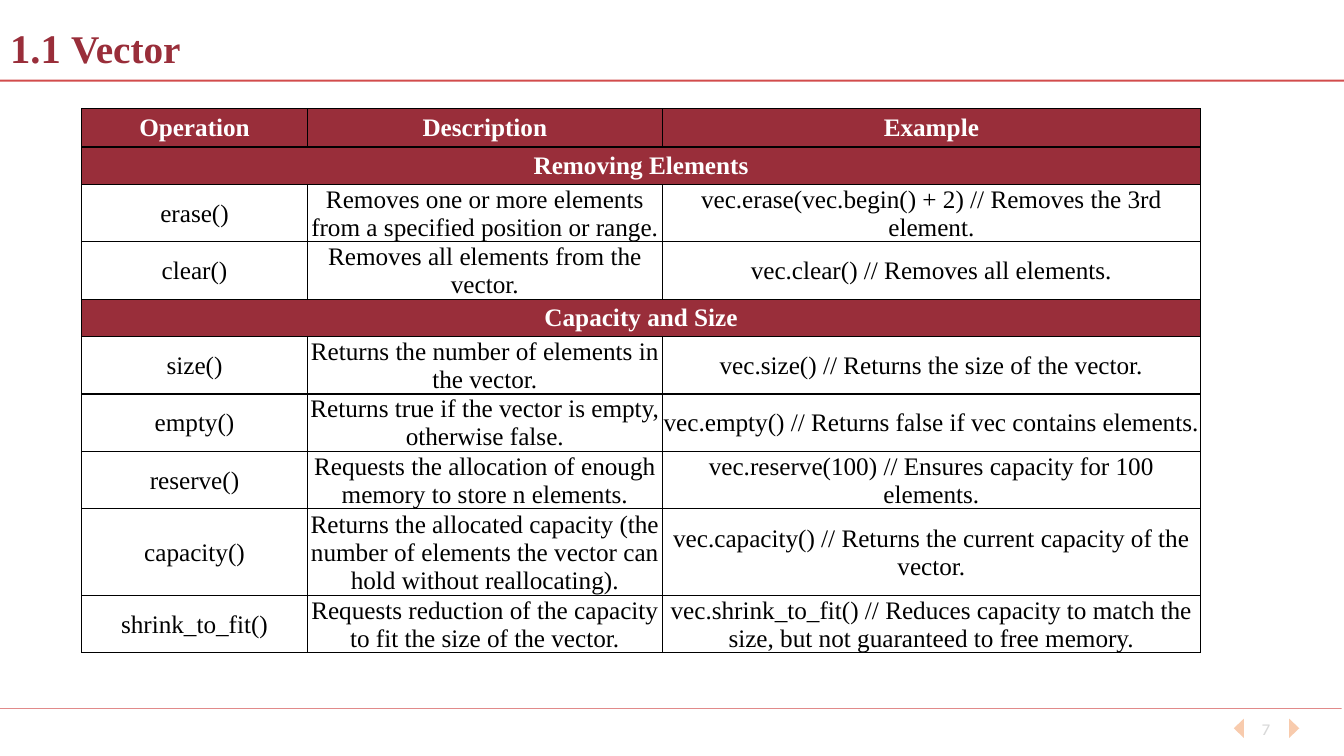
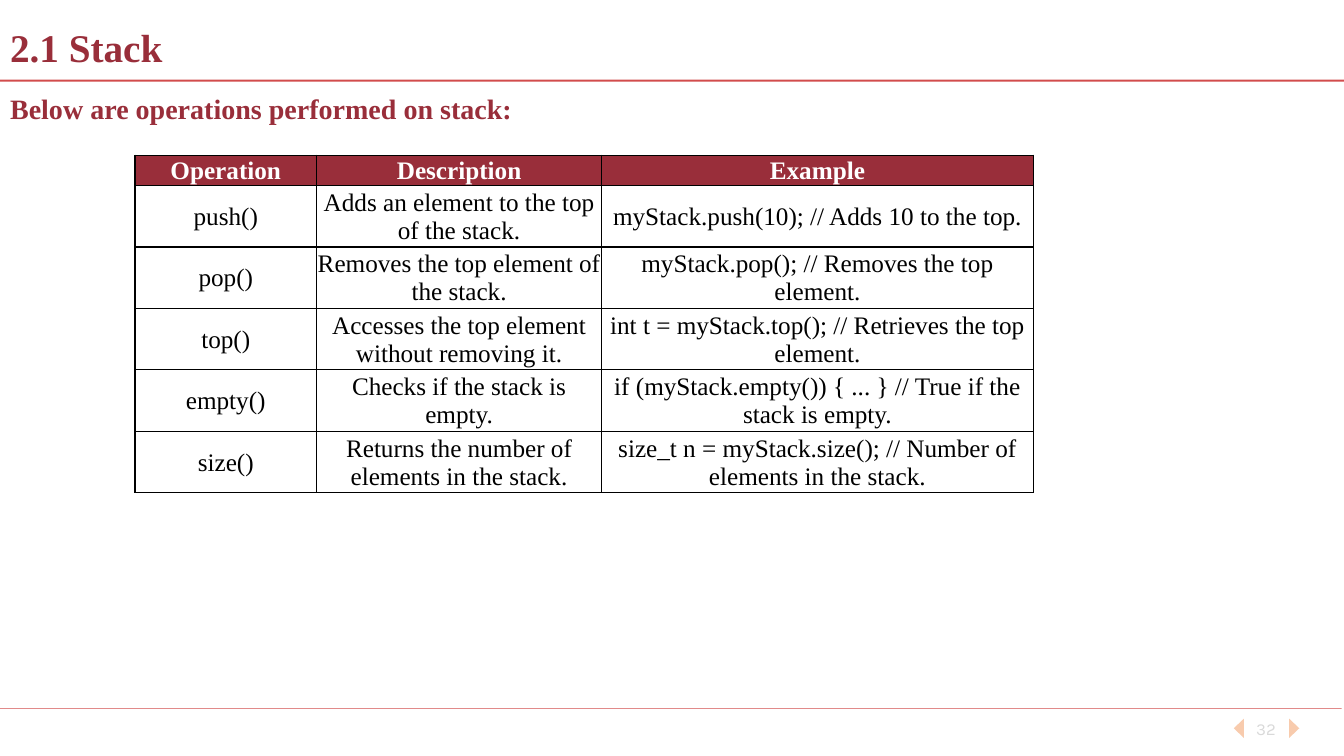
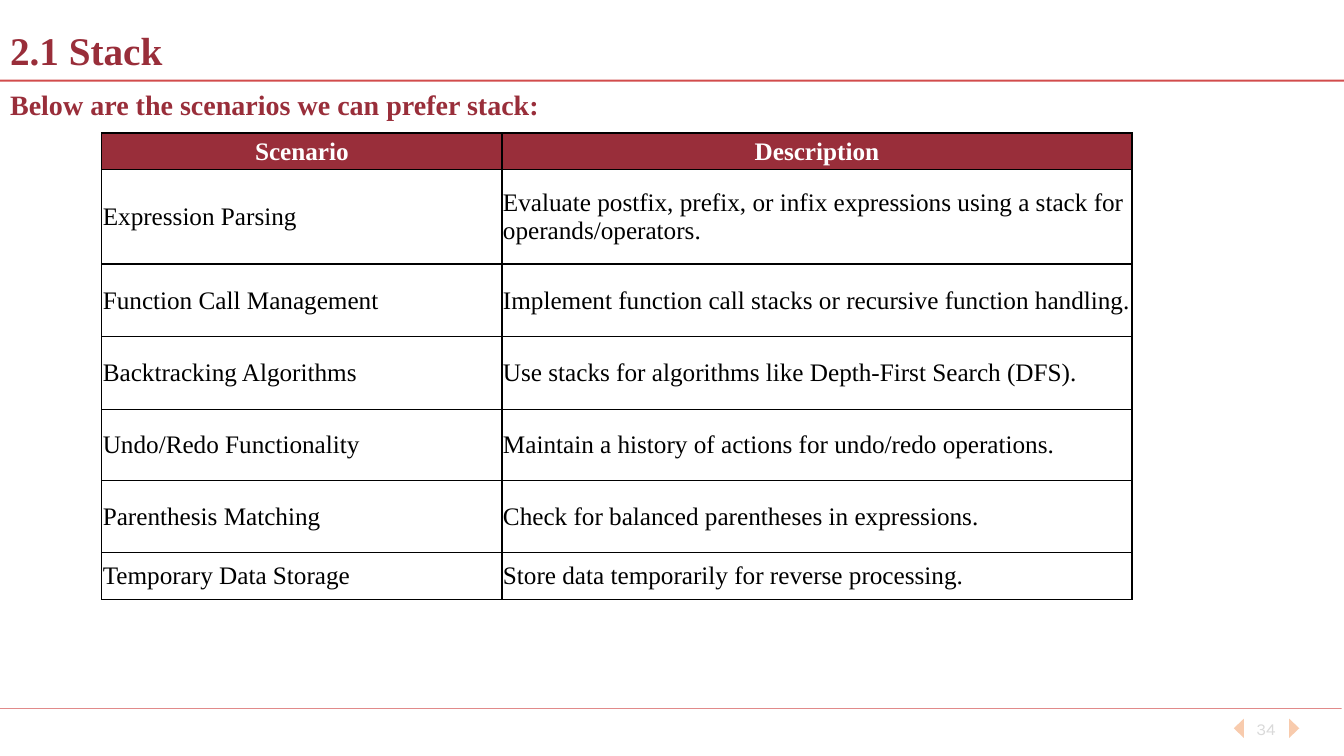
from dataclasses import dataclass

from lxml import etree
from pptx import Presentation
from pptx import util as u
from pptx.dml.color import RGBColor
from pptx.enum import shapes, text
from pptx.oxml import ns


@dataclass(frozen=True)
class Theme:
    serif: str = "Times New Roman"
    sans: str = "Karla"
    maroon: str = "992E3A"
    rule: str = "C00000"
    arrow: str = "F8CBAD"
    number: str = "D9D9D9"
    black: str = "000000"
    white: str = "FFFFFF"
    title_size: int = 28
    lead_size: int = 20
    table_size: int = 18
    number_size: int = 12


theme = Theme()
deck = Presentation()
deck.slide_width, deck.slide_height = u.Inches(13.33), u.Inches(7.5)
COLUMN, ROW = deck.slide_width / 40, deck.slide_height / 30


def place(left, top, width, height):
    return [round(n) for n in (left * COLUMN, top * ROW, width * COLUMN, height * ROW)]


def write(para, words, size, colour, bold=True, font=theme.serif):
    span = para.add_run()
    span.text = words
    span.font.name, span.font.size, span.font.bold = font, u.Pt(size), bold
    span.font.color.rgb = RGBColor.from_string(colour)


operations = ["Operation", "Description", "Example"]
center, left = text.PP_ALIGN.CENTER, text.PP_ALIGN.LEFT

vector_rows = [
    ["Removing Elements"],
    ["erase()", "Removes one or more elements from a specified position or range.",
     "vec.erase(vec.begin() + 2) // Removes the 3rd element."],
    ["clear()", "Removes all elements from the vector.",
     "vec.clear() // Removes all elements."],
    ["Capacity and Size"],
    ["size()", "Returns the number of elements in the vector.",
     "vec.size() // Returns the size of the vector."],
    ["empty()", "Returns true if the vector is empty, otherwise false.",
     "vec.empty() // Returns false if vec contains elements."],
    ["reserve()", "Requests the allocation of enough memory to store n elements.",
     "vec.reserve(100) // Ensures capacity for 100 elements."],
    ["capacity()",
     "Returns the allocated capacity (the number of elements the vector can hold without reallocating).",
     "vec.capacity() // Returns the current capacity of the vector."],
    ["shrink_to_fit()", "Requests reduction of the capacity to fit the size of the vector.",
     "vec.shrink_to_fit() // Reduces capacity to match the size, but not guaranteed to free memory."],
]
stack_rows = [
    operations,
    ["push()", "Adds an element to the top of the stack.",
     "myStack.push(10); // Adds 10 to the top."],
    ["pop()", "Removes the top element of the stack.",
     "myStack.pop(); // Removes the top element."],
    ["top()", "Accesses the top element without removing it.",
     "int t = myStack.top(); // Retrieves the top element."],
    ["empty()", "Checks if the stack is empty.",
     "if (myStack.empty()) { ... } // True if the stack is empty."],
    ["size()", "Returns the number of elements in the stack.",
     "size_t n = myStack.size(); // Number of elements in the stack."],
]
scenario_rows = [
    ["Scenario", "Description"],
    ["Expression Parsing",
     "Evaluate postfix, prefix, or infix expressions using a stack for operands/operators."],
    ["Function Call Management", "Implement function call stacks or recursive function handling."],
    ["Backtracking Algorithms", "Use stacks for algorithms like Depth-First Search (DFS)."],
    ["Undo/Redo Functionality", "Maintain a history of actions for undo/redo operations."],
    ["Parenthesis Matching", "Check for balanced parentheses in expressions."],
    ["Temporary Data Storage", "Store data temporarily for reverse processing."],
]

vector_widths = [6.72, 10.56, 16.02]
vector_heights = [1.48, 2.28, 2.28, 1.48, 2.28, 2.28, 2.28, 3.44, 2.28]
pages = [
    dict(number="7", title=[("1.1 ", 29), ("Vector", theme.title_size)], title_top=0.84,
         spacing=0.9, lead=None, align=center,
         tables=[(2.43, 5.84, vector_widths, vector_heights, vector_rows),
                 (2.43, 4.32, vector_widths, [1.48], [operations])]),
    dict(number="32", title=[("2.1 Stack", theme.title_size)], title_top=0.68,
         spacing=1.0, lead=("Below are operations performed on stack:", 3.44), align=center,
         tables=[(4.02, 6.16, [5.4, 8.49, 12.84], [1.2] + [2.44] * 5, stack_rows)]),
    dict(number="34", title=[("2.1 Stack", theme.title_size)], title_top=0.8,
         spacing=1.0, lead=("Below are the scenarios we can prefer stack:", 3.28), align=left,
         tables=[(3.03, 5.28, [11.91, 18.75],
                  [1.44, 3.76, 2.88, 2.88, 2.84, 2.84, 1.88], scenario_rows)]),
]

for content in pages:
    layout = deck.slide_layouts[1 if content["lead"] else 5]
    page = deck.slides.add_slide(layout)

    title = page.shapes.title
    title.left, title.top, title.width, title.height = place(0, content["title_top"], 36.54, 2.34)
    title.text_frame.auto_size = text.MSO_AUTO_SIZE.NONE
    title.text_frame.vertical_anchor = text.MSO_ANCHOR.MIDDLE
    para = title.text_frame.paragraphs[0]
    para.alignment, para.line_spacing = left, content["spacing"]
    for words, size in content["title"]:
        write(para, words, size, theme.maroon)

    for table_left, table_top, widths, heights, rows in content["tables"]:
        table = page.shapes.add_table(
            len(rows), len(widths), *place(table_left, table_top, sum(widths), sum(heights))).table
        table.first_row = table.horz_banding = False
        for column, width in zip(table.columns, widths):
            column.width = round(width * COLUMN)
        for index, (row, height, words) in enumerate(zip(table.rows, heights, rows)):
            row.height = round(height * ROW)
            band = index == 0 or len(words) == 1
            for cell in row.cells:
                properties = cell._tc.get_or_add_tcPr()
                for side in ("a:lnL", "a:lnR", "a:lnT", "a:lnB"):
                    border = etree.SubElement(properties, ns.qn(side), w=str(u.Pt(1)))
                    fill = etree.SubElement(border, ns.qn("a:solidFill"))
                    etree.SubElement(fill, ns.qn("a:srgbClr"), val=theme.black)
                cell.margin_left = cell.margin_right = cell.margin_top = u.Inches(0.01)
                cell.margin_bottom = 0
                cell.vertical_anchor = text.MSO_ANCHOR.MIDDLE
                if band:
                    cell.fill.solid()
                    cell.fill.fore_color.rgb = RGBColor.from_string(theme.maroon)
                else:
                    cell.fill.background()
            if len(words) == 1:
                row.cells[0].merge(table.cell(index, len(widths) - 1))
            for cell, label in zip(row.cells, words):
                para = cell.text_frame.paragraphs[0]
                para.alignment = center if band else content["align"]
                write(para, label, theme.table_size, theme.white if band else theme.black, band)

    if content["lead"]:
        words, top = content["lead"]
        lead = page.placeholders[1]
        lead.left, lead.top, lead.width, lead.height = place(0, top, 26.76, 1.76)
        lead.text_frame.auto_size = text.MSO_AUTO_SIZE.NONE
        para = lead.text_frame.paragraphs[0]
        para.space_before = u.Pt(0)
        bullet = para._p.get_or_add_pPr()
        bullet.set("marL", "0")
        bullet.set("indent", "0")
        etree.SubElement(bullet, ns.qn("a:buNone"))
        write(para, words, theme.lead_size, theme.maroon)

    box = page.shapes.add_textbox(*place(36.84, 28.12, 1.68, 1.6))
    box.text_frame.word_wrap = True
    box.text_frame.vertical_anchor = text.MSO_ANCHOR.MIDDLE
    para = box.text_frame.paragraphs[0]
    para.alignment = center
    write(para, content["number"], theme.number_size, theme.number, False, theme.sans)

furniture = []
for end, height, weight in [(39.93, 28.12, 0.5), (40, 3.2, 1.5)]:
    x, y, width, _ = place(0, height, end, 0)
    rule = page.shapes.add_connector(shapes.MSO_CONNECTOR.STRAIGHT, x, y, x + width, y)
    rule.line.width = u.Pt(weight)
    rule.line.color.rgb = RGBColor.from_string(theme.rule)
    colour = rule.element.spPr.find(".//" + ns.qn("a:srgbClr"))
    etree.SubElement(colour, ns.qn("a:alpha"), val="70000")
    etree.SubElement(rule.element.spPr, ns.qn("a:effectLst"))
    furniture.append(rule)

for base, tip in [(38.37, 38.67), (37.02, 36.72)]:
    corners = [place(x, y, 0, 0)[:2] for x, y in [(base, 28.52), (tip, 28.9), (base, 29.28)]]
    outline = page.shapes.build_freeform(*corners[0])
    outline.add_line_segments(corners[1:], close=True)
    arrow = outline.convert_to_shape()
    arrow.shadow.inherit = False
    arrow.fill.solid()
    arrow.fill.fore_color.rgb = RGBColor.from_string(theme.arrow)
    arrow.line.fill.background()
    furniture.append(arrow)

for identity, piece in enumerate(furniture, start=20):
    piece.element.xpath(".//p:cNvPr")[0].set("id", str(identity))
    deck.slide_master.shapes.element.append(piece.element)

deck.save("out.pptx")
